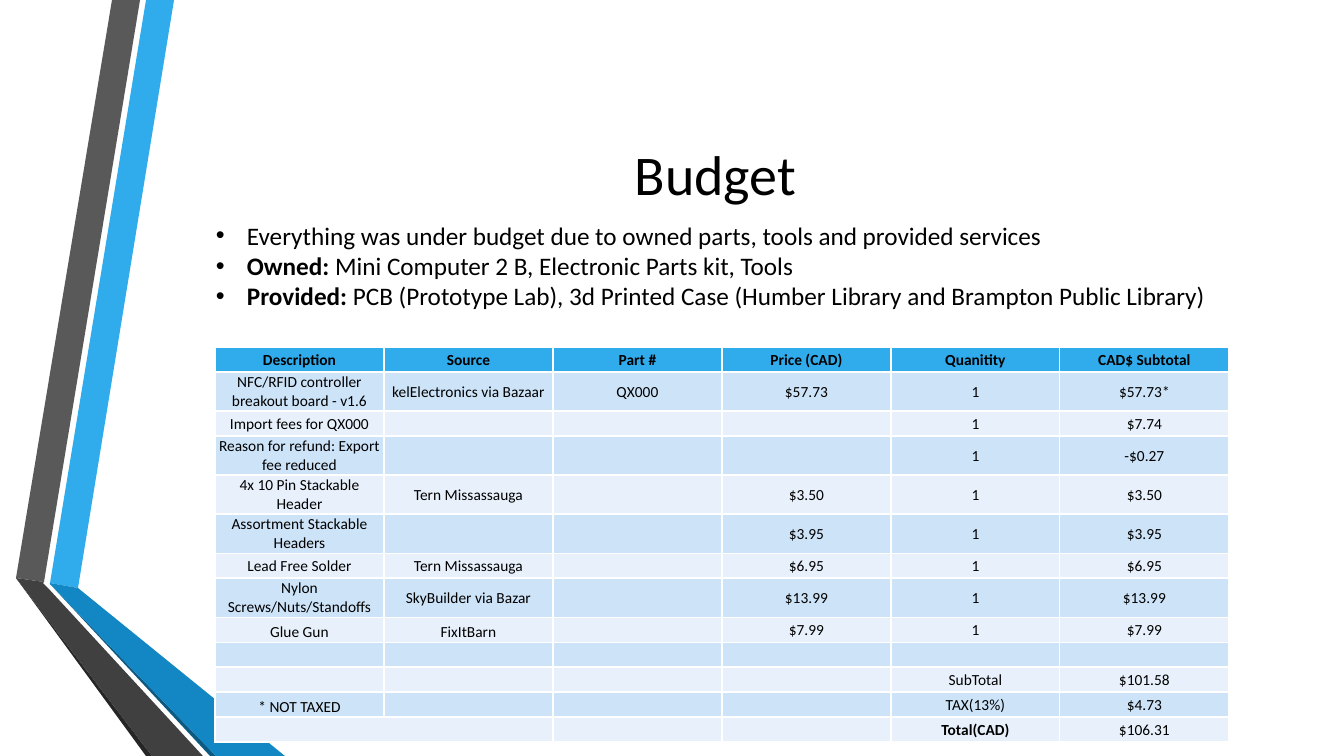
"""Build the Budget slide: folded ribbons, a title, three bullets and a cost table."""
from lxml import etree
from pptx import Presentation
from pptx import util as u
from pptx.dml.color import RGBColor
from pptx.enum import text
from pptx.oxml.ns import qn

PX = 914400 / 100.8
FONT, BLACK = "Calibri", "000000"
HEADER_FILL, BAND_FILLS = "30ACEC", ("CDE3F8", "E8F1FB")
ROW_HEIGHT, TALL_ROW_HEIGHT, COLUMN_WIDTH = 25, 39, 169
TITLE = "Budget"
TITLE_AREA, BULLET_AREA, TABLE_CORNER = (163, 76, 1105, 194), (206, 215, 1022, 163), (215, 347)
BULLET_INDENT = 31

RIBBONS = [
    ("30ACEC", [(50, 583), (78, 588), (174, 0), (146, 0)]),
    ("595959", [(140, 0), (112, 0), (16, 578), (44, 582)]),
    ("262626", [(16, 578), (146, 756), (152, 756)]),
    ("0C5A82", [(50, 584), (210, 756), (216, 756)]),
    ("1287C3", [(50, 584), (216, 756), (285, 756), (78, 588), (50, 583)]),
    ("404040", [(203, 756), (48, 588), (43, 583), (44, 582), (16, 578), (152, 756)]),
]
BULLETS = [
    ("", "Everything was under budget due to owned parts, tools and provided services"),
    ("Owned:", " Mini Computer 2 B, Electronic Parts kit, Tools"),
    ("Provided: ", "PCB (Prototype Lab), 3d Printed Case (Humber Library and Brampton Public Library)"),
]
COSTS = [
    ("Description", "Source", "Part #", "Price (CAD)", "Quanitity", "CAD$ Subtotal"),
    ("NFC/RFID controller breakout board - v1.6", "kelElectronics via Bazaar", "QX000", "$57.73", "1", "$57.73*"),
    ("Import fees for QX000", "", "", "", "1", "$7.74"),
    ("Reason for refund: Export fee reduced", "", "", "", "1", "-$0.27"),
    ("4x 10 Pin Stackable Header", "Tern Missassauga", "", "$3.50", "1", "$3.50"),
    ("Assortment Stackable Headers", "", "", "$3.95", "1", "$3.95"),
    ("Lead Free Solder", "Tern Missassauga", "", "$6.95", "1", "$6.95"),
    ("Nylon Screws/Nuts/Standoffs", "SkyBuilder via Bazar", "", "$13.99", "1", "$13.99"),
    ("Glue Gun", "FixItBarn", "", "$7.99", "1", "$7.99"),
    ("", "", "", "", "", ""),
    ("", "", "", "", "SubTotal", "$101.58"),
    ("* NOT TAXED", "", "", "", "TAX(13%)", "$4.73"),
    ("", "", "", "", "Total(CAD)", "$106.31"),
]
TALL_ROWS = {1, 3, 4, 5, 7}
BOLD_LABELS = {*COSTS[0], "Total(CAD)"}
LOW_LABELS = {"Glue Gun", "FixItBarn", "* NOT TAXED"}


def px(length):
    return u.Emu(round(length * PX))


def color(value):
    return RGBColor.from_string(value)


def style(para, size, bold=None):
    para.font.name, para.font.size, para.font.bold = FONT, u.Pt(size), bold
    para.font.color.rgb = color(BLACK)


def add_ribbon(page, fill, points):
    builder = page.shapes.build_freeform(*points[0], scale=PX)
    builder.add_line_segments(points[1:], close=True)
    ribbon = builder.convert_to_shape()
    ribbon.shadow.inherit = False
    ribbon.fill.solid()
    ribbon.fill.fore_color.rgb = color(fill)
    ribbon.line.fill.background()


def place_title(page):
    title = page.shapes.title
    title.left, title.top, title.width, title.height = map(px, TITLE_AREA)
    title.text_frame.text = TITLE
    title.text_frame.vertical_anchor = text.MSO_ANCHOR.MIDDLE
    para = title.text_frame.paragraphs[0]
    para.alignment = text.PP_ALIGN.CENTER
    style(para, 40)
    page.shapes.element.append(title.element)


def fill_cell(cell, label, fill):
    cell.fill.solid()
    cell.fill.fore_color.rgb = color(fill)
    cell.margin_left = cell.margin_right = cell.margin_top = px(1)
    cell.margin_bottom = 0
    low = label in LOW_LABELS
    cell.vertical_anchor = text.MSO_ANCHOR.BOTTOM if low else text.MSO_ANCHOR.MIDDLE
    para = cell.text_frame.paragraphs[0]
    para.alignment = text.PP_ALIGN.CENTER
    if label:
        para.add_run().text = label
    style(para, 11, label in BOLD_LABELS)


def add_costs(page):
    heights = [TALL_ROW_HEIGHT if row in TALL_ROWS else ROW_HEIGHT for row in range(len(COSTS))]
    columns = len(COSTS[0])
    size = (columns * COLUMN_WIDTH, sum(heights))
    table = page.shapes.add_table(len(COSTS), columns, *map(px, TABLE_CORNER + size)).table
    for column in table.columns:
        column.width = px(COLUMN_WIDTH)
    for row, labels in enumerate(COSTS):
        table.rows[row].height = px(heights[row])
        fill = BAND_FILLS[(row - 1) % 2] if row else HEADER_FILL
        for column, label in enumerate(labels):
            fill_cell(table.cell(row, column), label, fill)
    last = len(COSTS) - 1
    table.cell(last, 0).merge(table.cell(last, 1))


def add_bullets(page):
    frame = page.shapes.add_textbox(*map(px, BULLET_AREA)).text_frame
    frame.word_wrap = True
    for index, (lead, rest) in enumerate(BULLETS):
        para = frame.add_paragraph() if index else frame.paragraphs[0]
        layout = para._p.get_or_add_pPr()
        layout.set("marL", str(px(BULLET_INDENT)))
        layout.set("indent", str(-px(BULLET_INDENT)))
        etree.SubElement(layout, qn("a:buFont")).set("typeface", "Arial")
        etree.SubElement(layout, qn("a:buChar")).set("char", "•")
        style(para, 18)
        if lead:
            span = para.add_run()
            span.text, span.font.bold = lead, True
        para.add_run().text = rest


def main():
    deck = Presentation()
    deck.slide_width, deck.slide_height = px(1344), px(756)
    page = deck.slides.add_slide(deck.slide_layouts[5])
    for fill, points in RIBBONS:
        add_ribbon(page, fill, points)
    place_title(page)
    add_costs(page)
    add_bullets(page)
    deck.save("out.pptx")


if __name__ == "__main__":
    main()
